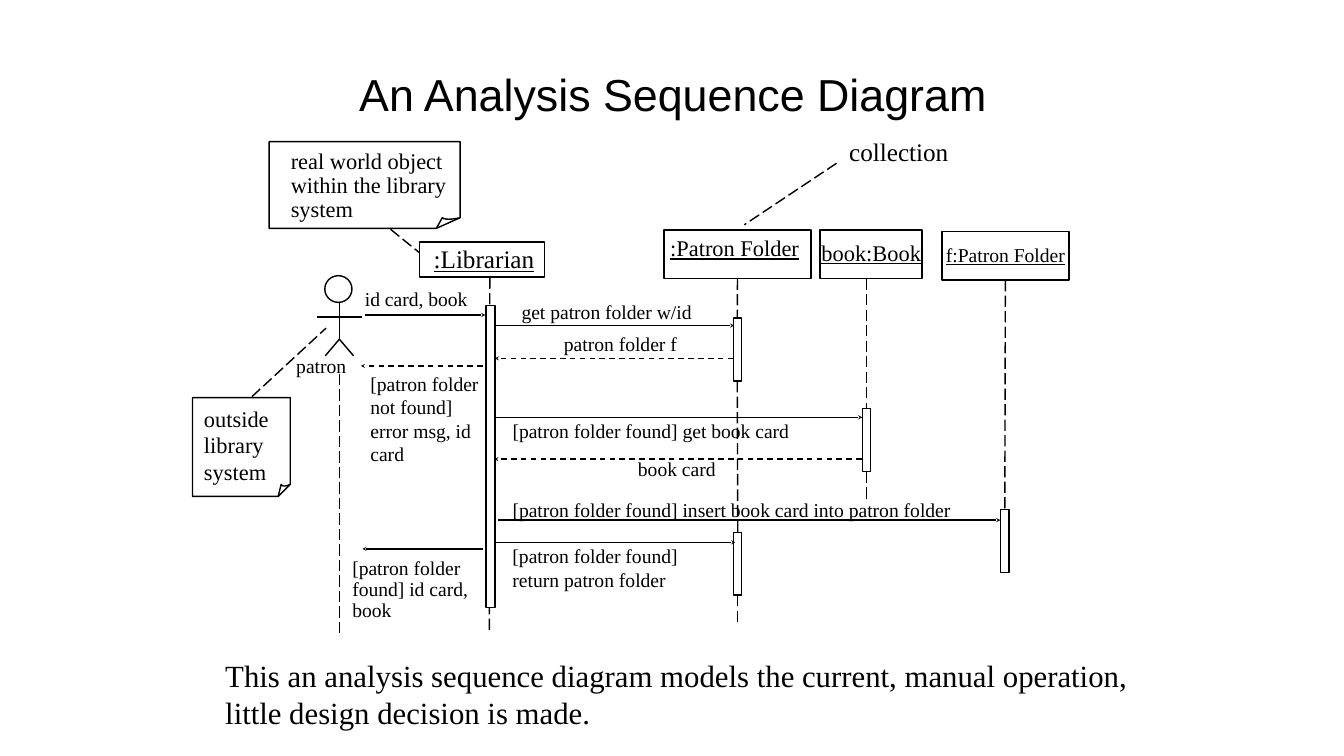
from lxml import etree
from pptx import Presentation
from pptx.dml.color import RGBColor
from pptx.enum.dml import MSO_LINE
from pptx.enum.shapes import MSO_CONNECTOR, MSO_SHAPE
from pptx.enum.text import MSO_ANCHOR, MSO_AUTO_SIZE, PP_ALIGN
from pptx.oxml.ns import qn
from pptx.util import Inches, Pt

BLACK = RGBColor(0, 0, 0)
WHITE = RGBColor(255, 255, 255)
STRAIGHT = MSO_CONNECTOR.STRAIGHT
RECTANGLE, OVAL = MSO_SHAPE.RECTANGLE, MSO_SHAPE.OVAL
LONG_DASH, DASH = MSO_LINE.LONG_DASH, MSO_LINE.DASH
TOP, MIDDLE = MSO_ANCHOR.TOP, MSO_ANCHOR.MIDDLE
GROW, FIXED = MSO_AUTO_SIZE.SHAPE_TO_FIT_TEXT, MSO_AUTO_SIZE.NONE
LEFT, CENTER = PP_ALIGN.LEFT, PP_ALIGN.CENTER
SERIF, SANS = "Times New Roman", "Arial"
TOP_SIDE, BOTTOM_SIDE = 0, 2
BAR_WIDTH, BAR_HEIGHT = 0.16, 1.25


def add_text(page, box, text, size=28, font=SERIF, align=LEFT, anchor=TOP, inset=0,
             spacing=None, wrap=True, underline=None, fit=GROW):
    frame = page.shapes.add_textbox(*map(Inches, box)).text_frame
    frame.word_wrap = wrap
    frame.auto_size = fit
    frame.vertical_anchor = anchor
    frame.margin_left = frame.margin_right = Inches(inset)
    frame.margin_top = frame.margin_bottom = Inches(inset)
    frame.text = text
    for para in frame.paragraphs:
        para.alignment = align
        para.line_spacing = spacing
        para.font.name = font
        para.font.size = Pt(size)
        para.font.underline = underline
        para.font.color.rgb = BLACK


def style_outline(shape, fill=None):
    shape.shadow.inherit = False
    if fill is None:
        shape.fill.background()
    else:
        shape.fill.solid()
        shape.fill.fore_color.rgb = fill
    shape.line.color.rgb = BLACK
    shape.line.width = Pt(2)


def add_outline(page, kind, box, fill=None):
    shape = page.shapes.add_shape(kind, *map(Inches, box))
    style_outline(shape, fill)
    return shape


def add_path(page, points, closed):
    places = [(Inches(x), Inches(y)) for x, y in points]
    builder = page.shapes.build_freeform(*places[0])
    builder.add_line_segments(places[1:], close=closed)
    style_outline(builder.convert_to_shape())


def add_line(page, start, end, dash=None, arrow=False):
    line = page.shapes.add_connector(STRAIGHT, *map(Inches, (*start, *end)))
    line.line.color.rgb = BLACK
    line.line.width = Pt(2)
    if dash is not None:
        line.line.dash_style = dash
    if arrow:
        etree.SubElement(line.line._get_or_add_ln(), qn("a:tailEnd"), type="stealth")
    etree.SubElement(line._element.spPr, qn("a:effectLst"))
    return line


def add_lifeline(page, start, end, upper=None, lower=None):
    line = add_line(page, start, end, LONG_DASH)
    if upper is not None:
        line.begin_connect(upper, BOTTOM_SIDE)
    if lower is not None:
        line.end_connect(lower, TOP_SIDE)


def add_participant(page, box, label_box, name, size, fill=WHITE, **style):
    head = add_outline(page, RECTANGLE, box, fill)
    left, top, width, height = label_box
    add_text(page, (box[0] + left, box[1] + top, width, height), name, size,
             underline=True, **style)
    return head


def add_activation(page, left, top):
    return add_outline(page, RECTANGLE, (left, top, BAR_WIDTH, BAR_HEIGHT))


def add_actor(page, box):
    left, top, width, height = box
    middle = left + width / 2
    neck, hips, bottom = top + 0.55, top + 1.26, top + height
    add_outline(page, OVAL, (middle - 0.29, top, 0.54, 0.53))
    add_line(page, (left, top + 0.82), (left + width, top + 0.82))
    add_line(page, (middle, neck), (middle, hips))
    for foot in (-0.28, 0.28):
        add_line(page, (middle, hips), (middle + foot, bottom))


def add_note(page, box, fold_width, fold_height):
    left, top, width, height = box
    right, bottom = left + width, top + height
    fold_left, fold_top = right - fold_width, bottom - fold_height
    add_path(page, [(left, top), (left, bottom), (fold_left, bottom),
                    (right, fold_top), (right, top)], True)
    curl = [(fold_left, bottom)]
    for step in range(13):
        t = step / 12
        u = 1 - t
        across = 0.25 * u**3 + 3 * 0.36 * u * u * t + 3 * 0.62 * u * t * t + t**3
        down = 3 * 0.19 * u * t
        curl.append((fold_left + across * fold_width, fold_top + down * fold_height))
    add_path(page, curl, False)


def add_notes(page):
    add_note(page, (5.34, 2.81, 3.79, 1.72), 0.47, 0.21)
    add_text(page, (5.77, 2.98, 3.26, 1.42), "real world object within the library system",
             32, spacing=0.9)
    add_line(page, (7.75, 4.55), (8.33, 5.02), LONG_DASH)

    add_note(page, (3.82, 7.89, 1.94, 1.96), 0.24, 0.24)
    add_text(page, (3.95, 7.97, 1.5, 1.72), "outside\nlibrary\nsystem", 32,
             anchor=MIDDLE, inset=0.1, wrap=False)
    add_line(page, (5, 7.87), (6.47, 6.51), LONG_DASH)

    add_text(page, (16.85, 2.7, 1.99, 0.56), "collection", 36, wrap=False)
    add_line(page, (16.6, 3.24), (14.77, 4.46), LONG_DASH)


def add_participants(page):
    add_actor(page, (6.29, 5.47, 0.89, 1.59))
    add_text(page, (5.78, 6.92, 1.21, 0.63), "patron", inset=0.1, wrap=False)
    add_lifeline(page, (6.74, 7.42), (6.74, 12.61))

    add_participant(page, (8.33, 4.8, 2.47, 0.7), (0.27, 0.03, 2.01, 0.56),
                    ":Librarian", 36, fill=None, align=CENTER, wrap=False)
    add_lifeline(page, (9.72, 5.51), (9.71, 12.5))
    add_outline(page, RECTANGLE, (9.64, 6.06, 0.18, 5.99), WHITE)

    folder = add_participant(page, (13.18, 4.56, 2.91, 0.97), (0.12, 0.19, 2.64, 0.5),
                             ":Patron Folder", 32, spacing=0.8)
    lookup = add_activation(page, 14.55, 6.31)
    handback = add_activation(page, 14.56, 10.56)
    add_lifeline(page, (14.63, 5.53), (14.63, 6.31), folder, lookup)
    add_lifeline(page, (14.63, 7.56), (14.64, 10.56), lookup, handback)
    add_lifeline(page, (14.64, 11.81), (14.64, 12.38), handback)

    add_participant(page, (16.27, 4.56, 2.03, 0.97), (0.03, 0.18, 1.99, 0.5),
                    "book:Book", 32, wrap=False)
    fetch = add_activation(page, 17.11, 8.11)
    add_lifeline(page, (17.19, 5.53), (17.19, 8.11), lower=fetch)
    add_lifeline(page, (17.19, 9.36), (17.19, 9.95), fetch)

    found = add_participant(page, (18.69, 4.59, 2.52, 0.97), (0, 0.23, 2.52, 0.43),
                            "f:Patron Folder", 28, align=CENTER)
    insert = add_activation(page, 19.86, 10.11)
    add_lifeline(page, (19.95, 5.56), (19.94, 10.11), found, insert)


def add_messages(page):
    messages = [
        (7.24, 9.63, 6.25, None, (7.24, 5.82, 2.47, 0.43), "id card, book", 0.7, True),
        (9.81, 14.57, 6.46, None, (10.35, 5.95, 4.27, 0.43),
         "get patron folder w/id", None, True),
        (14.55, 9.82, 7.11, DASH, (11.19, 6.72, 2.51, 0.43), "patron folder f", 0.7, True),
        (9.58, 7.16, 7.26, DASH, (7.35, 7.37, 2.31, 1.76),
         "[patron folder not found] error msg, id card", None, True),
        (9.83, 17.11, 8.28, None, (10.17, 8.44, 7.08, 0.43),
         "[patron folder found] get book card", 0.7, True),
        (17.1, 9.81, 9.11, DASH, (12.66, 9.07, 1.56, 0.43), "book card", None, False),
        (9.88, 19.85, 10.32, None, (10.17, 9.88, 8.72, 0.43),
         "[patron folder found] insert book card into patron folder", None, False),
        (9.83, 14.59, 10.76, None, (10.17, 10.8, 3.56, 0.87),
         "[patron folder found] return patron folder", None, True),
        (9.58, 7.19, 10.89, None, (6.99, 11.08, 2.55, 1.23),
         "[patron folder found] id card, book", 0.9, True),
    ]
    for start, end, level, dash, box, text, spacing, wrap in messages:
        add_line(page, (start, level), (end, level), dash, arrow=True)
        add_text(page, box, text, spacing=spacing, wrap=wrap)


def main():
    deck = Presentation()
    deck.slide_width, deck.slide_height = Inches(26.67), Inches(15)
    page = deck.slides.add_slide(deck.slide_layouts[6])
    add_text(page, (7.03, 0.6, 15.3, 2.5), "An Analysis Sequence Diagram", 64, SANS,
             anchor=MIDDLE, inset=0.1, fit=FIXED)
    add_notes(page)
    add_participants(page)
    add_messages(page)
    add_text(page, (4.47, 13.03, 18.03, 1.39),
             "This an analysis sequence diagram models the current, manual operation, "
             "little design decision is made.", 44)
    deck.save("out.pptx")


if __name__ == "__main__":
    main()
